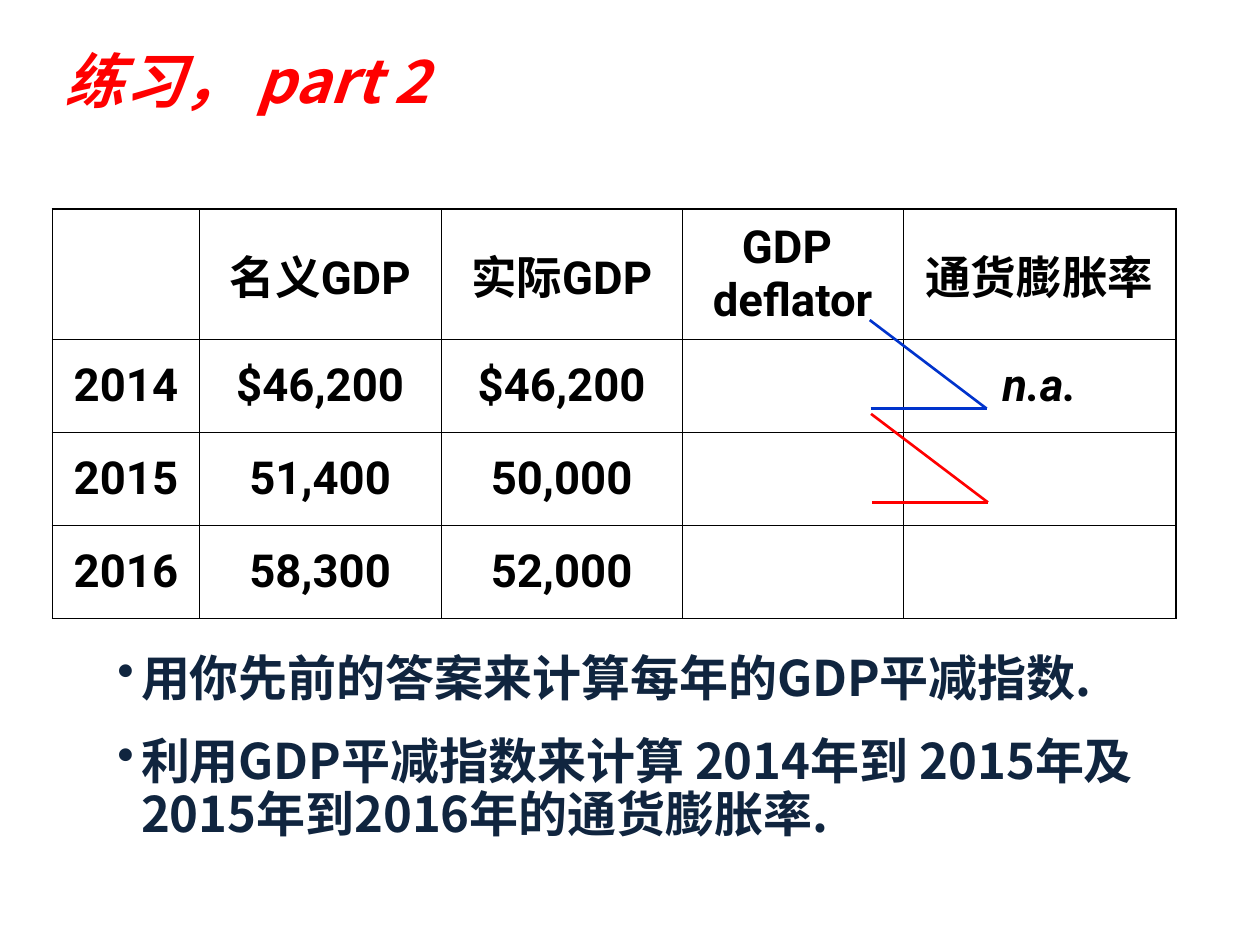
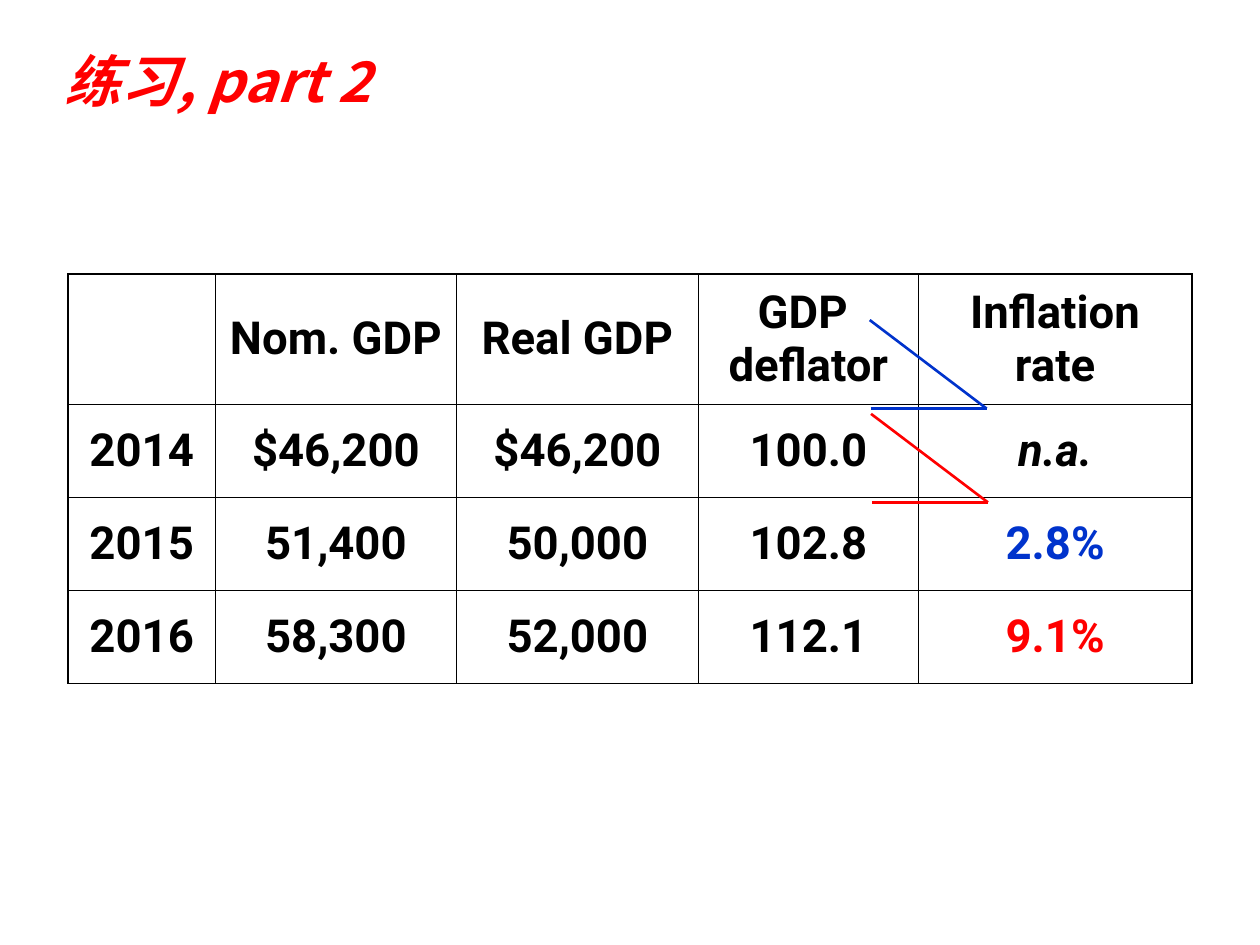
from dataclasses import dataclass

import lxml.etree
import pptx
import pptx.dml.color
import pptx.enum.shapes
import pptx.enum.text
import pptx.oxml.ns
import pptx.util

Pt = pptx.util.Pt
qn = pptx.oxml.ns.qn


@dataclass(frozen=True)
class Theme:
    text_font: str = "Noto Sans CJK SC"
    table_font: str = "Roboto"
    red: str = "FF0000"
    blue: str = "0033CC"
    navy: str = "10253F"
    black: str = "000000"
    white: str = "FFFFFF"
    bullet_size: float = 28
    table_size: float = 26
    inner_border: float = 0.45
    outer_border: float = 1.08
    arrow_width: float = 1.5


THEME = Theme()
TITLE_BOX = (30, 18, 660, 60)
BULLET_BOX = (60, 370, 600, 162)
ZIGZAG_BOX = (497, 182.9, 66.8, 50.6)
ZIGZAG_STEP = (0.75, 53.6)
COLUMN_WIDTHS = (84, 138, 138, 126, 156)
ROW_HEIGHTS = (74.4, 53.2, 53.2, 53.2)


def color(value):
    return pptx.dml.color.RGBColor.from_string(value)


def add_element(parent, tag, **attributes):
    return lxml.etree.SubElement(parent, qn(tag), attributes)


def style_runs(para, size, font, ink, italic=False):
    for span in para.runs:
        span.font.size = Pt(size)
        span.font.bold = True
        span.font.italic = italic
        span.font.color.rgb = color(ink)
        span.font.name = font
        add_element(span.font._element, "a:ea", typeface=THEME.text_font)


def add_text_box(page, box):
    frame = page.shapes.add_textbox(*map(Pt, box)).text_frame
    frame.word_wrap = True
    return frame


def add_title(page, box, text, size):
    frame = add_text_box(page, box)
    frame.vertical_anchor = pptx.enum.text.MSO_ANCHOR.MIDDLE
    frame.text = text
    para = frame.paragraphs[0]
    para.line_spacing = 0.9
    style_runs(para, size, THEME.text_font, THEME.red, italic=True)


def add_bullets(page, box, lines):
    frame = add_text_box(page, box)
    frame.text = "\n".join(lines)
    for index, para in enumerate(frame.paragraphs):
        para.line_spacing = 0.9
        if index:
            para.space_before = Pt(17.5)
        properties = para._p.get_or_add_pPr()
        indent = Pt(13.5)
        properties.set("marL", str(indent))
        properties.set("indent", str(-indent))
        bullet_color = add_element(properties, "a:buClr")
        add_element(bullet_color, "a:srgbClr", val=THEME.navy)
        add_element(properties, "a:buChar", char="•")
        style_runs(para, THEME.bullet_size, THEME.text_font, THEME.navy)


def set_borders(cell, outer_sides):
    properties = cell._tc.get_or_add_tcPr()
    for position, side in enumerate("LRTB"):
        width = THEME.outer_border if side in outer_sides else THEME.inner_border
        line = add_element(properties, f"a:ln{side}", w=str(Pt(width)))
        fill = add_element(line, "a:solidFill")
        add_element(fill, "a:srgbClr", val=THEME.black)
        properties.insert(position, line)


def add_gdp_table(page, left, top, rows, inks):
    """Draw the GDP grid; inks maps a cell text to a special colour."""
    size = (sum(COLUMN_WIDTHS), sum(ROW_HEIGHTS))
    frame = page.shapes.add_table(len(ROW_HEIGHTS), len(COLUMN_WIDTHS),
                                  *map(Pt, (left, top, *size)))
    table = frame.table
    table.first_row = table.horz_banding = False
    for column, width in zip(table.columns, COLUMN_WIDTHS):
        column.width = Pt(width)
    last_row, last_column = len(ROW_HEIGHTS) - 1, len(COLUMN_WIDTHS) - 1
    for r, (values, height) in enumerate(zip(rows, ROW_HEIGHTS)):
        table.rows[r].height = Pt(height)
        for c, value in enumerate(values):
            cell = table.cell(r, c)
            cell.text = value
            cell.vertical_anchor = pptx.enum.text.MSO_ANCHOR.MIDDLE
            cell.fill.solid()
            cell.fill.fore_color.rgb = color(THEME.white)
            edges = {"L": c == 0, "R": c == last_column,
                     "T": r == 0, "B": r == last_row}
            set_borders(cell, [side for side, outer in edges.items() if outer])
            para = cell.text_frame.paragraphs[0]
            para.alignment = pptx.enum.text.PP_ALIGN.CENTER
            style_runs(para, THEME.table_size, THEME.table_font,
                       inks.get(value, THEME.black), italic=value == "n.a.")


def add_line(page, start, end, ink):
    line = page.shapes.add_connector(pptx.enum.shapes.MSO_CONNECTOR.STRAIGHT,
                                     *map(Pt, (*start, *end)))
    line.line.color.rgb = color(ink)
    line.line.width = Pt(THEME.arrow_width)
    add_element(line._element.spPr, "a:effectLst")


def add_zigzags(page, box):
    """Link each pair of years to its inflation rate."""
    left, top, width, height = box
    for index, ink in enumerate((THEME.blue, THEME.red)):
        x, y = left + index * ZIGZAG_STEP[0], top + index * ZIGZAG_STEP[1]
        tip = (x + width, y + height)
        add_line(page, (x, y), tip, ink)
        add_line(page, (x + 0.5, y + height), tip, ink)


def add_exercise_page(deck, title, title_size, table_place, headings,
                      deflators, rates):
    page = deck.slides.add_slide(deck.slide_layouts[6])
    add_title(page, TITLE_BOX, title, title_size)
    years = ("2014", "2015", "2016")
    nominal = ("$46,200", "51,400", "58,300")
    real = ("$46,200", "50,000", "52,000")
    rows = [("", *headings), *zip(years, nominal, real, deflators, rates)]
    inks = {"2.8%": THEME.blue, "9.1%": THEME.red}
    add_gdp_table(page, *table_place, rows, inks)
    add_zigzags(page, ZIGZAG_BOX)
    return page


def main():
    deck = pptx.Presentation()
    deck.slide_width, deck.slide_height = Pt(720), Pt(540)

    # Exercise with blanks to fill in
    page = add_exercise_page(
        deck, "练习， part 2", 34, (30, 119.5),
        ("名义GDP", "实际GDP", "GDP \vdeflator", "通货膨胀率"),
        ("", "", ""), ("n.a.", "", ""))
    add_bullets(page, BULLET_BOX, (
        "用你先前的答案来计算每年的GDP平减指数.",
        "利用GDP平减指数来计算 2014年到 2015年及2015年到2016年的通货膨胀率."))

    # Answers
    add_exercise_page(
        deck, "练习, part 2", 32, (39, 156.7),
        ("Nom. GDP", "Real GDP", "GDP \vdeflator", "Inflation\vrate"),
        ("100.0", "102.8", "112.1"), ("n.a.", "2.8%", "9.1%"))

    deck.save("out.pptx")


if __name__ == "__main__":
    main()
